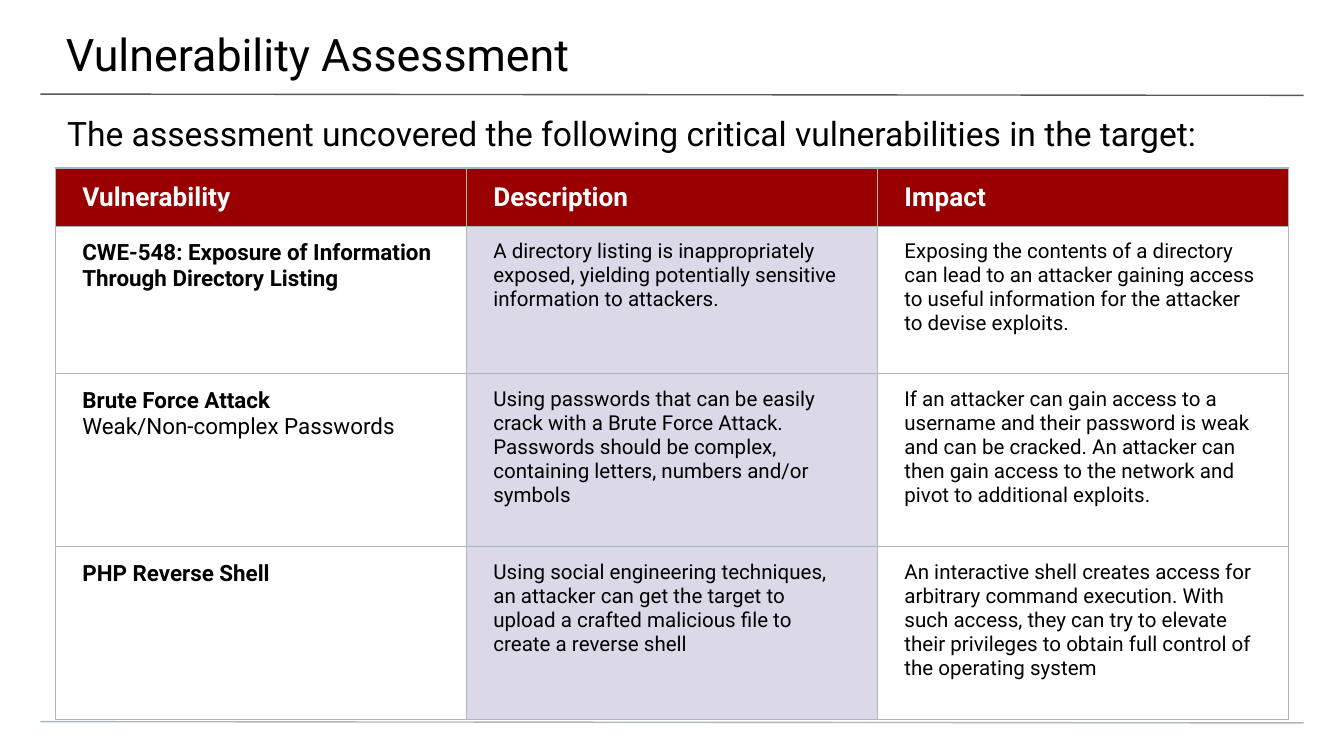
"""Build the vulnerability assessment slide."""
import pptx
import pptx.dml.color
import pptx.enum.shapes
import pptx.enum.text
import pptx.oxml
import pptx.oxml.ns
import pptx.util

Pt = pptx.util.Pt
FONT = "Roboto"
COLORS = {
    "text": "000000",
    "white": "FFFFFF",
    "header": "990000",
    "shade": "DBD9E8",
    "rule": "595959",
    "border": "A9B7C0",
}
HEADERS = ["Vulnerability", "Description", "Impact"]
FINDINGS = [
    (
        ["CWE-548: Exposure of Information Through Directory Listing"],
        "A directory listing is inappropriately exposed, yielding potentially "
        "sensitive information to attackers.",
        "Exposing the contents of a directory can lead to an attacker gaining access "
        "to useful information for the attacker to devise exploits.",
    ),
    (
        ["Brute Force Attack", "Weak/Non-complex Passwords"],
        "Using passwords that can be easily crack with a Brute Force Attack. Passwords "
        "should be complex, containing letters, numbers and/or symbols",
        "If an attacker can gain access to a username and their password is weak and can "
        "be cracked. An attacker can then gain access to the network and pivot to "
        "additional exploits.",
    ),
    (
        ["PHP Reverse Shell"],
        "Using social engineering techniques, an attacker can get the target to upload "
        "a crafted malicious file to create a reverse shell",
        "An interactive shell creates access for arbitrary command execution. With such "
        "access, they can try to elevate their privileges to obtain full control of the "
        "operating system",
    ),
]
ROW_HEIGHTS = [30.8, 79, 92.7, 92.7]
COLUMN_WIDTH = 220.2


def rgb(name):
    """Return the named colour."""
    return pptx.dml.color.RGBColor.from_string(COLORS[name])


def set_font(p, size, color="text", bold=False):
    """Set the font of a whole paragraph."""
    p.font.name = FONT
    p.font.size = Pt(size)
    p.font.bold = bold
    p.font.color.rgb = rgb(color)


def add_text(s, text, size, left, top, width, height, inset_top):
    """Add a one-line text box."""
    tf = s.shapes.add_textbox(Pt(left), Pt(top), Pt(width), Pt(height)).text_frame
    tf.word_wrap = True
    tf.vertical_anchor = pptx.enum.text.MSO_ANCHOR.TOP
    tf.margin_left, tf.margin_top = Pt(36), Pt(inset_top)
    tf.margin_right = tf.margin_bottom = 0
    tf.text = text
    set_font(tf.paragraphs[0], size)


def add_rule(s, y, color):
    """Add a thin line across the slide."""
    sp = s.shapes.add_connector(
        pptx.enum.shapes.MSO_CONNECTOR.STRAIGHT, Pt(21.6), Pt(y), Pt(698.4), Pt(y + 0.7)
    )
    sp.line.color.rgb = rgb(color)
    sp.line.width = Pt(0.75)
    sp.element.spPr.append(pptx.oxml.parse_xml(f"<a:effectLst {pptx.oxml.ns.nsdecls('a')}/>"))


def set_borders(cell):
    """Draw the four borders of a cell."""
    tc_pr = cell._tc.get_or_add_tcPr()
    for i, side in enumerate("LRTB"):
        tc_pr.insert(i, pptx.oxml.parse_xml(
            f'<a:ln{side} {pptx.oxml.ns.nsdecls("a")} w="{Pt(0.75)}"><a:solidFill>'
            f'<a:srgbClr val="{COLORS["border"]}"/></a:solidFill></a:ln{side}>'
        ))


def fill_cell(cell, lines, size, color="text", bold=False, fill=None):
    """Write and style a cell; only its first line may be bold."""
    cell.margin_left = cell.margin_right = Pt(14.4)
    cell.margin_top = cell.margin_bottom = Pt(7.2)
    cell.text = "\n".join(lines)
    for i, p in enumerate(cell.text_frame.paragraphs):
        set_font(p, size, color, bold and i == 0)
    if fill:
        cell.fill.solid()
        cell.fill.fore_color.rgb = rgb(fill)
    else:
        cell.fill.background()
    set_borders(cell)


def add_findings(s):
    """Add the table of findings."""
    table = s.shapes.add_table(
        len(ROW_HEIGHTS), len(HEADERS), Pt(29.7), Pt(90),
        Pt(COLUMN_WIDTH * len(HEADERS)), Pt(sum(ROW_HEIGHTS)),
    ).table
    for column in table.columns:
        column.width = Pt(COLUMN_WIDTH)
    for row, height in zip(table.rows, ROW_HEIGHTS):
        row.height = Pt(height)
    for i, header in enumerate(HEADERS):
        cell = table.cell(0, i)
        fill_cell(cell, [header], 14, "white", True, "header")
        cell.vertical_anchor = pptx.enum.text.MSO_ANCHOR.MIDDLE
    for i, (names, description, impact) in enumerate(FINDINGS, 1):
        fill_cell(table.cell(i, 0), names, 12, bold=True)
        fill_cell(table.cell(i, 1), [description], 11, fill="shade")
        fill_cell(table.cell(i, 2), [impact], 11)


def main():
    """Build and save the slide."""
    prs = pptx.Presentation()
    prs.slide_width, prs.slide_height = Pt(720), Pt(405)
    s = prs.slides.add_slide(prs.slide_layouts[6])
    add_rule(s, 50.4, "rule")
    add_rule(s, 386.6, "border")
    add_text(s, "Vulnerability Assessment", 24, -0.7, 0, 722, 42, 14.4)
    add_text(
        s, "The assessment uncovered the following critical vulnerabilities in the target:",
        18, 0, 53.5, 720, 29, 7.2,
    )
    add_findings(s)
    prs.save("out.pptx")


if __name__ == "__main__":
    main()
